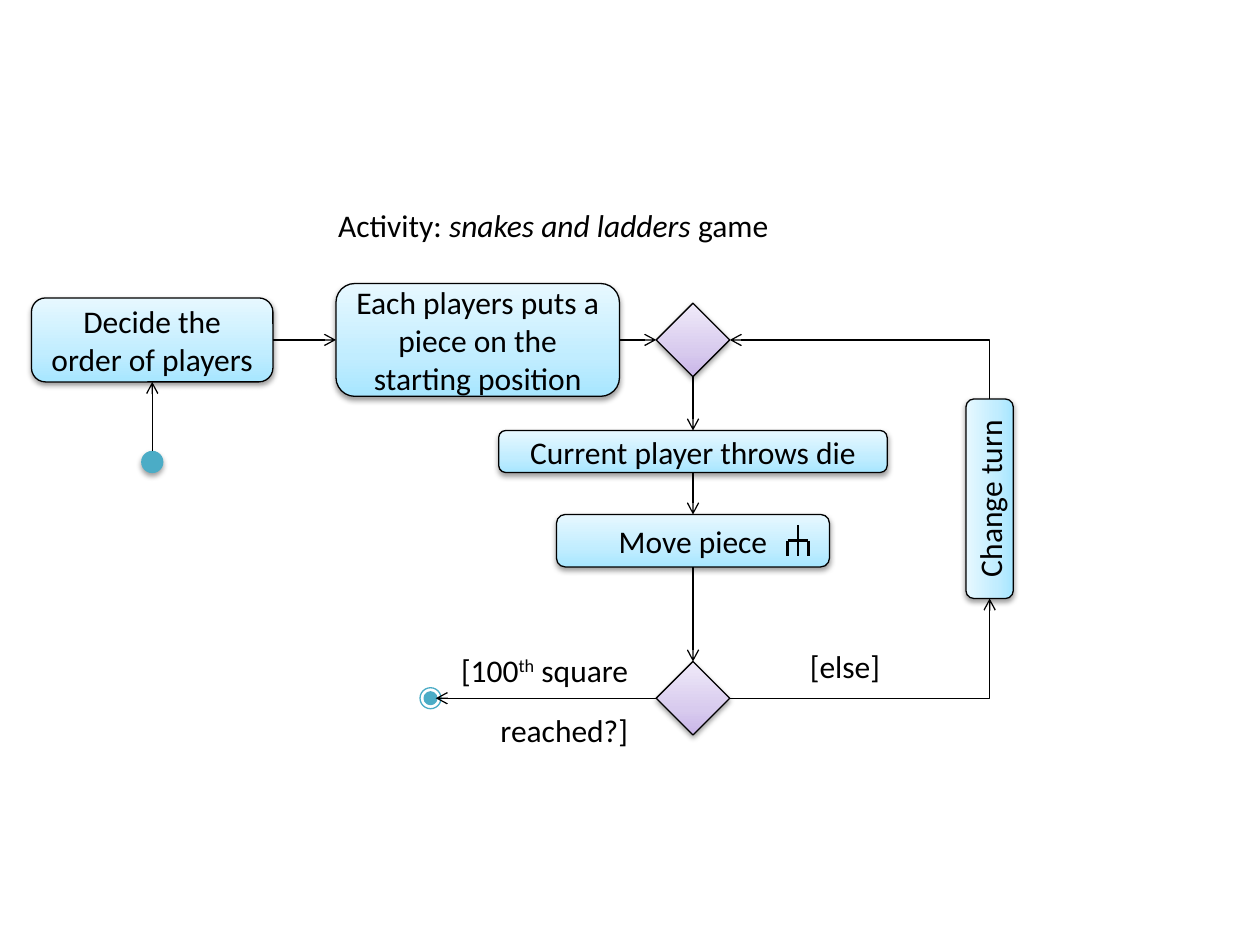
"""Build an activity diagram of a snakes and ladders game."""
from copy import deepcopy
from dataclasses import dataclass

from lxml import etree
from pptx import Presentation
from pptx import util as u
from pptx.dml.color import RGBColor
from pptx.enum import shapes, text
from pptx.oxml import parse_xml
from pptx.oxml.ns import nsdecls, qn


@dataclass(frozen=True)
class Theme:
    font: str = "Calibri"
    size: int = 18
    ink: RGBColor = RGBColor(0, 0, 0)
    paper: RGBColor = RGBColor(255, 255, 255)
    node: RGBColor = RGBColor.from_string("4BACC6")
    action: tuple = ("A7E6FF", "C1EDFF", "E7F8FF")
    decision: tuple = ("C9B5E8", "D8CBEE", "F0EAF9")
    stops: tuple = (0, 0.35, 1)


theme = Theme()
PX = 9525
MSO = shapes.MSO_SHAPE
TOP, LEFT, BOTTOM, RIGHT = range(4)


def add_shape(parent, kind, box, fill, line, shadow=True):
    sp = parent.add_shape(kind, *(v * PX for v in box))
    if isinstance(fill, RGBColor):
        sp.fill.solid()
        sp.fill.fore_color.rgb = fill
    else:
        sp.fill.gradient()
        sp.fill.gradient_angle = 90
        stops = sp._element.spPr.find(".//" + qn("a:gsLst"))
        stops.insert(1, deepcopy(stops[0]))
        for stop, position, color in zip(sp.fill.gradient_stops, theme.stops, fill):
            stop.position = position
            stop.color.rgb = RGBColor.from_string(color)
    sp.line.color.rgb = line
    sp.line.width = u.Pt(0.75)
    sp.shadow.inherit = False
    if shadow:
        sp._element.spPr.find(qn("a:effectLst")).append(parse_xml(
            f'<a:outerShdw {nsdecls("a")} blurRad="40000" dist="20000" dir="5400000" '
            'rotWithShape="0"><a:srgbClr val="000000"><a:alpha val="38000"/>'
            '</a:srgbClr></a:outerShdw>'))
    return sp


def add_line(parent, kind, points, width=0.75, arrow=None):
    cxn = parent.add_connector(kind, *(v * PX for v in points))
    cxn.line.color.rgb = theme.ink
    cxn.line.width = u.Pt(width)
    if arrow:
        etree.SubElement(cxn._element.spPr.find(qn("a:ln")), qn(arrow), type="arrow")
    etree.SubElement(cxn._element.spPr, qn("a:effectLst"))
    return cxn


prs = Presentation()
prs.slide_width, prs.slide_height = 960 * PX, 720 * PX
slide = prs.slides.add_slide(prs.slide_layouts[5])

title = slide.shapes.title
title.left, title.top, title.width, title.height = (v * PX for v in (248, 152, 424, 40))
tf = title.text_frame
tf.auto_size = text.MSO_AUTO_SIZE.NONE
tf.vertical_anchor = text.MSO_ANCHOR.TOP
p = tf.paragraphs[0]
p.alignment = text.PP_ALIGN.LEFT
p.font.name, p.font.size, p.font.color.rgb = theme.font, u.Pt(theme.size), theme.ink
for words, italic in (("Activity: ", False), ("snakes and ladders ", True), ("game", False)):
    r = p.add_run()
    r.text, r.font.italic = words, italic

nodes = {}
for name, box, label in (
    ("order", (24, 227, 184, 64), "Decide the order of players"),
    ("place", (256, 216, 216, 86), "Each players puts a piece on the starting position"),
    ("throw", (380, 328, 296, 32), "Current player throws die"),
    ("move", (424, 392, 208, 40), "Move piece"),
    ("turn", (678, 362, 152, 36), "Change turn"),
):
    sp = add_shape(slide.shapes, MSO.ROUNDED_RECTANGLE, box, theme.action, theme.ink)
    tf = sp.text_frame
    tf.word_wrap = True
    tf.vertical_anchor = text.MSO_ANCHOR.MIDDLE
    p = tf.paragraphs[0]
    p.text, p.alignment = label, text.PP_ALIGN.CENTER
    p.font.name, p.font.size, p.font.color.rgb = theme.font, u.Pt(theme.size), theme.ink
    nodes[name] = sp
nodes["turn"].rotation = 270

for name, top in (("merge", 231), ("decision", 504)):
    nodes[name] = add_shape(slide.shapes, MSO.FLOWCHART_DECISION, (500, top, 56, 56),
                            theme.decision, theme.ink)

nodes["start"] = add_shape(slide.shapes, MSO.OVAL, (108, 344, 16, 16), theme.node, theme.node)
final = slide.shapes.add_group_shape().shapes
add_shape(final, MSO.OVAL, (320, 524, 16, 16), theme.paper, theme.node, shadow=False)
core = add_shape(final, MSO.OVAL, (324, 528, 8, 8), theme.node, theme.node, shadow=False)
core.line.width = u.Pt(2)

for begin, begin_site, end, end_site in (
    ("start", TOP, "order", BOTTOM),
    ("order", RIGHT, "place", LEFT),
    ("place", RIGHT, "merge", LEFT),
    ("merge", BOTTOM, "throw", TOP),
    ("throw", BOTTOM, "move", TOP),
    ("move", BOTTOM, "decision", TOP),
):
    cxn = add_line(slide.shapes, shapes.MSO_CONNECTOR.STRAIGHT, (0, 0, 0, 0), arrow="a:tailEnd")
    cxn.begin_connect(nodes[begin], begin_site)
    cxn.end_connect(nodes[end], end_site)

cxn = add_line(slide.shapes, shapes.MSO_CONNECTOR.STRAIGHT, (500, 532, 332, 532), arrow="a:tailEnd")
cxn.begin_connect(nodes["decision"], LEFT)

for name, points, arrow in (
    ("decision", (556, 532, 754, 456), "a:tailEnd"),
    ("merge", (556, 259, 754, 304), "a:headEnd"),
):
    cxn = add_line(slide.shapes, shapes.MSO_CONNECTOR.ELBOW, points, arrow=arrow)
    cxn._element.spPr.find(qn("a:prstGeom")).set("prst", "bentConnector2")
    cxn.begin_connect(nodes[name], RIGHT)

fork = slide.shapes.add_group_shape().shapes
for points in ((608, 400, 608, 424), (600, 412, 600, 424),
               (616, 412, 616, 424), (600, 412, 616, 412)):
    add_line(fork, shapes.MSO_CONNECTOR.STRAIGHT, points, width=1.5)

for box, lines in (
    ((312, 491, 176, 85), (("[100", "th", " square"), ("reached?]",))),
    ((584, 488, 96, 38), (("[else]",),)),
):
    tf = slide.shapes.add_textbox(*(v * PX for v in box)).text_frame
    tf.word_wrap = True
    for i, parts in enumerate(lines):
        p = tf.add_paragraph() if i else tf.paragraphs[0]
        p.alignment = text.PP_ALIGN.RIGHT
        if i:
            p.space_before = u.Pt(13)
        p.font.name, p.font.size, p.font.color.rgb = theme.font, u.Pt(theme.size), theme.ink
        for part in parts:
            r = p.add_run()
            r.text = part
            if part == "th":
                r._r.get_or_add_rPr().set("baseline", "30000")

prs.save("out.pptx")
